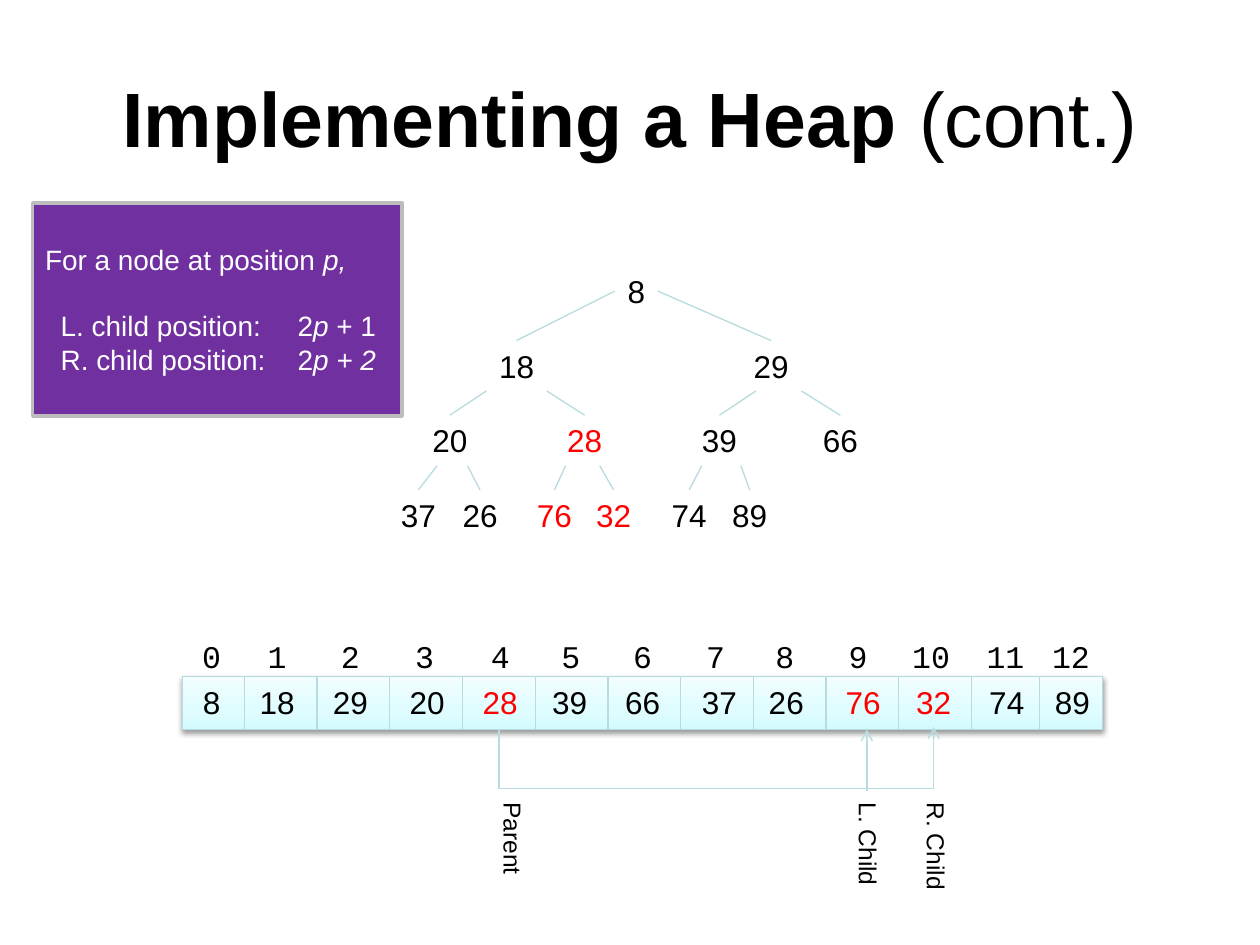
from copy import deepcopy
from dataclasses import dataclass

from pptx import Presentation
from pptx.dml.color import RGBColor
from pptx.enum.shapes import MSO_CONNECTOR as CONN, MSO_SHAPE as SHAPE
from pptx.enum.text import MSO_ANCHOR as ANCHOR, PP_ALIGN as ALIGN
from pptx.oxml import parse_xml
from pptx.oxml.ns import nsdecls, qn
from pptx.util import Inches, Pt

COLORS = {"text": "000000", "mark": "FF0000", "line": "B6DCDF", "white": "FFFFFF",
          "box": "7030A0", "border": "BDBDBD"}
ARRAY_STOPS = [(0, "D3FBFF"), (0.35, "DFFCFF"), (1, "F2FEFF")]

# The slide is a grid of 100 columns by 75 rows
COLS, ROWS = 100, 75
ARRAY_LEFT, ARRAY_TOP, ARRAY_WIDTH, ARRAY_HEIGHT = 14.5, 53.7, 73, 4.2
ARRAY_BOTTOM = ARRAY_TOP + ARRAY_HEIGHT
FIRST_DIVIDER, CELL_PITCH, LAST_DIVIDER = 19.4, 5.77, 82.5
TREE_TOP, LEVEL_PITCH, LABEL_HEIGHT, LABEL_WIDTH = 21.1, 5.93, 4, 4.8
PARENT_ROW = 62.6


@dataclass
class Node:
    """One heap entry: centre columns in the tree, index row and array."""
    value: int
    tree_x: float
    index_x: float
    cell_x: float
    reach: tuple = ()  # where its child edges leave, from its centre
    marked: bool = False


@dataclass
class Run:
    text: str
    size: float = 18
    color: str = "text"
    font: str = "Arial"
    bold: bool = False
    italic: bool = False


HEAP = [
    Node(8, 50.5, 16.8, 16.8, (-1.7, 1.7)),
    Node(18, 41, 22, 22, (-2.4, 2.4)),
    Node(29, 61.2, 27.8, 27.8, (-1.2, 2.4)),
    Node(20, 35.7, 33.7, 33.9, (-1, 1.4)),
    Node(28, 46.4, 39.7, 39.7, (-1.5, 1.2), True),
    Node(39, 57.1, 45.3, 45.2, (-1.4, 1.7)),
    Node(66, 66.7, 51, 51),
    Node(37, 33.2, 56.8, 57.1),
    Node(26, 38.1, 62.3, 62.4),
    Node(76, 44, 68.1, 68.5, marked=True),
    Node(32, 48.7, 73.9, 74.1, marked=True),
    Node(74, 54.7, 79.8, 79.9),
    Node(89, 59.5, 85, 85.1),
]

prs = Presentation()
prs.slide_width, prs.slide_height = Inches(10), Inches(7.5)
s = prs.slides.add_slide(prs.slide_layouts[6])


def col(n: float) -> int:
    return round(prs.slide_width * n / COLS)


def row(n: float) -> int:
    return round(prs.slide_height * n / ROWS)


def rgb(name: str) -> RGBColor:
    return RGBColor.from_string(COLORS[name])


def add_runs(p, runs: list) -> None:
    for run in runs:
        r = p.add_run()
        r.text = run.text
        f = r.font
        f.size, f.name, f.bold, f.italic = Pt(run.size), run.font, run.bold, run.italic
        f.color.rgb = rgb(run.color)


def add_text(x: float, y: float, w: float, h: float, runs: list,
             align=ALIGN.CENTER, wrap: bool = False):
    sp = s.shapes.add_textbox(col(x), row(y), col(w), row(h))
    tf = sp.text_frame
    tf.word_wrap = wrap
    tf.paragraphs[0].alignment = align
    add_runs(tf.paragraphs[0], runs)
    return sp


def add_label(center: float, top: float, run: Run, width: float = LABEL_WIDTH):
    return add_text(center - width / 2, top, width, LABEL_HEIGHT, [run])


def add_line(x1: float, y1: float, x2: float, y2: float, arrow: bool = False,
             kind=CONN.STRAIGHT):
    c = s.shapes.add_connector(kind, col(x1), row(y1), col(x2), row(y2))
    c.line.color.rgb, c.line.width = rgb("line"), Pt(0.75)
    if arrow:
        c.line._get_or_add_ln().append(
            parse_xml(f'<a:tailEnd {nsdecls("a")} type="arrow"/>'))
    c._element.spPr.append(parse_xml(f'<a:effectLst {nsdecls("a")}/>'))
    return c


def add_rect(x: float, y: float, w: float, h: float, line: str, width: float):
    sp = s.shapes.add_shape(SHAPE.RECTANGLE, col(x), row(y), col(w), row(h))
    sp.shadow.inherit = False
    sp.line.color.rgb, sp.line.width = rgb(line), Pt(width)
    return sp


def add_array() -> None:
    sp = add_rect(ARRAY_LEFT, ARRAY_TOP, ARRAY_WIDTH, ARRAY_HEIGHT, "line", 0.75)
    sp.fill.gradient()
    sp.fill.gradient_angle = 90
    spPr = sp._element.spPr
    stops = spPr.find(".//" + qn("a:gsLst"))
    stops.append(deepcopy(stops[-1]))
    for stop, (position, color) in zip(sp.fill.gradient_stops, ARRAY_STOPS):
        stop.position, stop.color.rgb = position, RGBColor.from_string(color)
    spPr.find(qn("a:effectLst")).append(parse_xml(
        f'<a:outerShdw {nsdecls("a")} blurRad="{Pt(3.1)}" dist="{Pt(1.6)}" dir="5400000"'
        ' rotWithShape="0"><a:srgbClr val="000000"><a:alpha val="38000"/></a:srgbClr>'
        '</a:outerShdw>'))
    dividers = [FIRST_DIVIDER + CELL_PITCH * i for i in range(len(HEAP) - 2)]
    for x in dividers + [LAST_DIVIDER]:
        add_line(x, ARRAY_TOP, x, ARRAY_BOTTOM)
    for i, node in enumerate(HEAP):
        add_label(node.index_x, 50.1, Run(str(i), font="Courier New"), 5)
        add_label(node.cell_x, ARRAY_TOP, node_run(node))


def node_run(node: Node) -> Run:
    return Run(str(node.value), color="mark" if node.marked else "text")


def add_tree() -> None:
    tops = [TREE_TOP + LEVEL_PITCH * ((i + 1).bit_length() - 1) for i in range(len(HEAP))]
    labels = [add_label(node.tree_x, top, node_run(node), LABEL_WIDTH if i else 3.4)
              for i, (node, top) in enumerate(zip(HEAP, tops))]
    for i in range(1, len(HEAP)):
        up, side = divmod(i - 1, 2)
        parent = HEAP[up]
        c = add_line(parent.tree_x + parent.reach[side], tops[up] + LABEL_HEIGHT,
                     HEAP[i].tree_x, tops[i])
        if up == 0:
            c.begin_connect(labels[0], (1, 3)[side])
        c.end_connect(labels[i], 0)


def add_family() -> None:
    """Lines from the parent cell to its children, with upright captions."""
    parent, left, right = 39.6, 68.8, 74.1
    bent = add_line(parent, PARENT_ROW, right, ARRAY_BOTTOM - 0.2, True, CONN.ELBOW)
    bent._element.spPr.find(qn("a:prstGeom")).set("prst", "bentConnector2")
    add_line(left, PARENT_ROW + 0.2, left, ARRAY_BOTTOM, True)
    add_line(parent, ARRAY_BOTTOM, parent, PARENT_ROW)
    for x, h, text in [(38, 6.8, "Parent"), (66.2, 7.7, "L. Child"), (71.6, 8, "R. Child")]:
        sp = add_text(x, 62.7, 4.4, h, [Run(text, 14)], ALIGN.LEFT)
        sp.text_frame._txBody.bodyPr.set("vert", "vert")


def add_rule_box() -> None:
    sp = add_rect(2.6, 16.1, 29.3, 16.9, "border", 2)
    sp.fill.solid()
    sp.fill.fore_color.rgb = rgb("box")
    tf = sp.text_frame
    tf.word_wrap, tf.vertical_anchor = True, ANCHOR.MIDDLE
    lines = [
        [("For a node at position ", False), ("p,", True)],
        [("L. child position:\t2", False), ("p", True), (" + 1", False)],
        [("R. child position:\t2", False), ("p + 2", True)],
    ]
    for i, parts in enumerate(lines):
        p = tf.add_paragraph() if i else tf.paragraphs[0]
        p.alignment = ALIGN.LEFT
        add_runs(p, [Run(text, 16, "white", italic=it) for text, it in parts])
        if i:
            pPr = p._p.get_or_add_pPr()
            pPr.set("marL", str(col(1.24)))
            pPr.append(parse_xml(f'<a:tabLst {nsdecls("a")}>'
                                 f'<a:tab pos="{col(18.8)}" algn="l"/></a:tabLst>'))
        if i == 1:
            p.space_before = Pt(18.4)


# Array, title, tree, child links and rule
add_array()
title = add_text(5, 3, 90, 12.5, [Run("Implementing a Heap ", 44, bold=True),
                                  Run("(cont.)", 44)], wrap=True)
title.text_frame.vertical_anchor = ANCHOR.MIDDLE
add_tree()
add_family()
add_rule_box()

prs.save("out.pptx")
